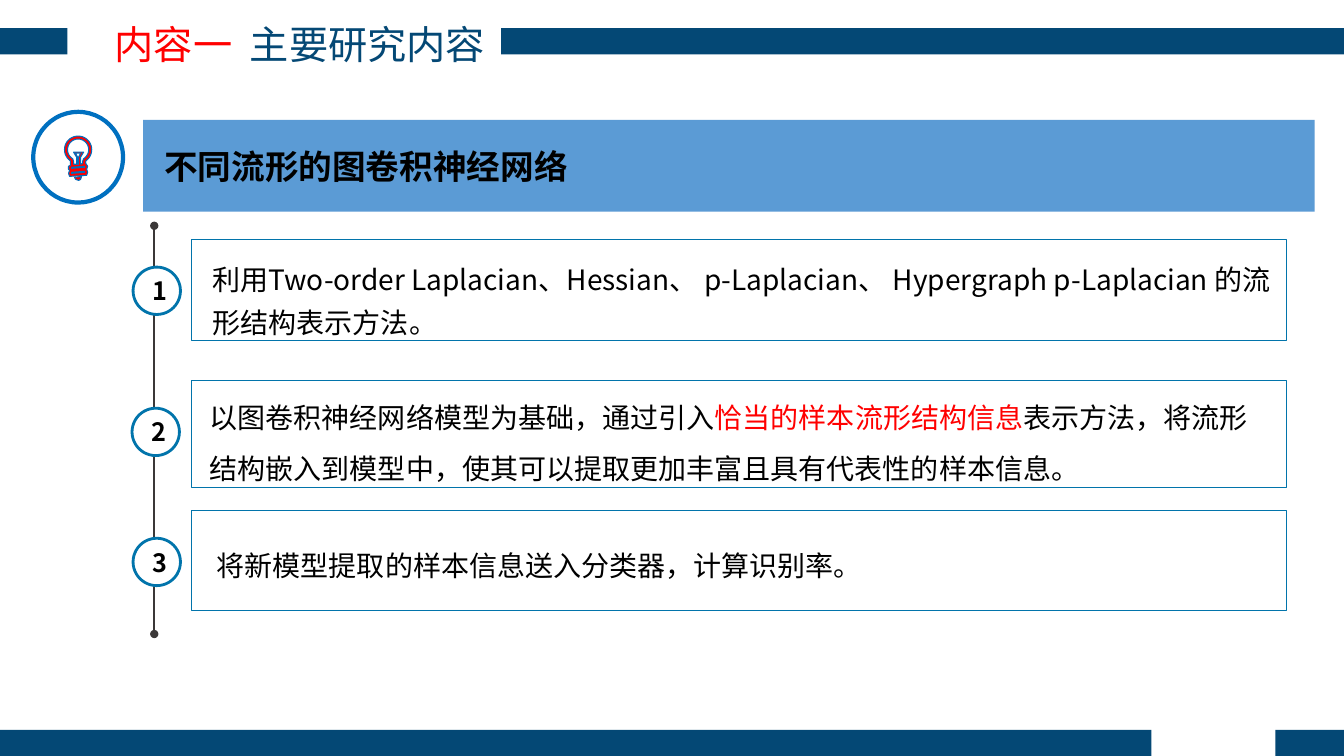
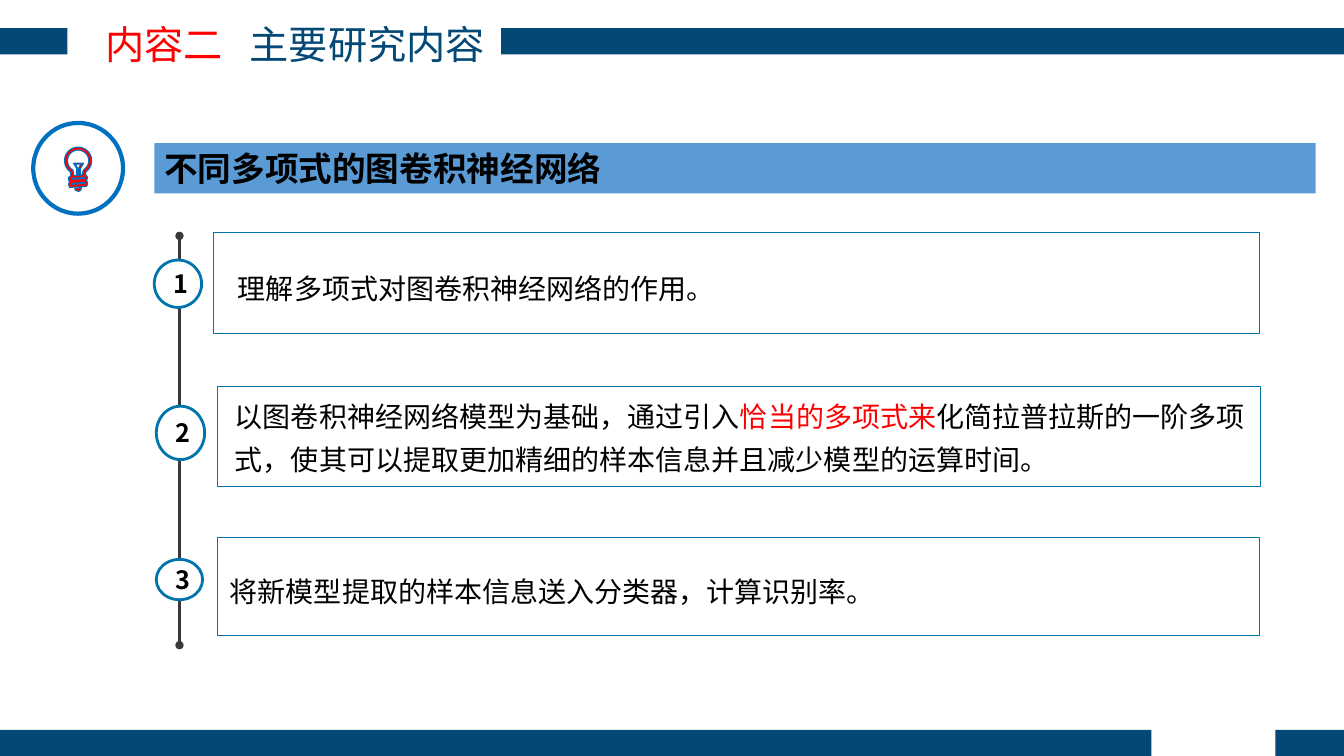
from dataclasses import dataclass
from math import cos, radians, sin

from lxml.etree import SubElement
from pptx import Presentation
from pptx.dml.color import RGBColor
from pptx.enum.shapes import MSO_CONNECTOR, MSO_SHAPE
from pptx.enum.text import MSO_ANCHOR, PP_ALIGN
from pptx.oxml.ns import qn
from pptx.util import Inches, Pt


@dataclass(frozen=True)
class Theme:
    navy: str = "044875"
    bar: str = "5B9BD5"
    outline: str = "0174AB"
    icon: str = "0070C0"
    rail: str = "3B3838"
    red: str = "FF0000"
    black: str = "000000"
    white: str = "FFFFFF"
    font: str = "Noto Sans CJK SC"
    heading_font: str = "Calibri"
    title_size: int = 28
    heading_size: int = 24
    body_size: int = 20
    number_size: int = 18


THEME = Theme()
TITLE = "主要研究内容"
TITLE_LEFT = 2.48
HEADING_LEFT = 1.63
BANDS = [(0, 0.28, 0.67, 0.26), (4.97, 0.28, 8.36, 0.26),
         (12.65, 7.24, 0.68, 0.26), (0, 7.24, 11.42, 0.26)]

# Each step: badge box, frame box, text left and top insets, line spacing, runs.
# A run is its text and whether it is highlighted.
PAGES = [
    {
        "label": "内容一", "label_left": 1.14, "icon_top": 1.11,
        "heading": "不同流形的图卷积神经网络", "bar": (1.42, 1.19, 11.62, 0.91),
        "rail": (1.53, 2.24, 6.29), "right_inset": 0.15,
        "steps": [
            ((1.32, 2.65, 0.47, 0.47), (1.9, 2.38, 10.86, 1), (0.21, 0.12), 1.3,
             [("利用Two-order Laplacian、Hessian、 p-Laplacian、 "
               "Hypergraph p-Laplacian 的流形结构表示方法。", False)]),
            ((1.31, 4.05, 0.47, 0.47), (1.9, 3.77, 10.86, 1.07), (0.18, 0.04), 1.5,
             [("以图卷积神经网络模型为基础，通过引入", False),
              ("恰当的样本流形结构信息", True),
              ("表示方法，将流形结构嵌入到模型中，"
               "使其可以提取更加丰富且具有代表性的样本信息。", False)]),
            ((1.32, 5.34, 0.47, 0.47), (1.9, 5.06, 10.86, 1), (0.25, 0.28), 1.3,
             [("将新模型提取的样本信息送入分类器，计算识别率。", False)]),
        ],
    },
    {
        "label": "内容二", "label_left": 1.05, "icon_top": 1.22,
        "heading": "不同多项式的图卷积神经网络", "bar": (1.53, 1.42, 11.52, 0.5),
        "rail": (1.78, 2.34, 6.4), "right_inset": 0.1,
        "steps": [
            ((1.53, 2.58, 0.47, 0.47), (2.12, 2.31, 10.37, 1), (0.24, 0.28), 1.3,
             [("理解多项式对图卷积神经网络的作用。", False)]),
            ((1.55, 4.03, 0.48, 0.53), (2.16, 3.83, 10.34, 1), (0.17, 0.03), 1.3,
             [("以图卷积神经网络模型为基础，通过引入", False),
              ("恰当的多项式来", True),
              ("化简拉普拉斯的一阶多项式，"
               "使其可以提取更加精细的样本信息并且减少模型的运算时间。", False)]),
            ((1.55, 5.55, 0.46, 0.4), (2.16, 5.33, 10.33, 0.97), (0.12, 0.27), 1.3,
             [("将新模型提取的样本信息送入分类器，计算识别率。", False)]),
        ],
    },
]


def arc(radius, start, end, steps=32):
    """Points on a circle around the middle of the bulb glass."""
    angles = [radians(start + (end - start) * i / steps) for i in range(steps + 1)]
    return [(0.135 + radius * cos(a), 0.135 + radius * sin(a)) for a in angles]


BULB_CONTOURS = [
    arc(0.135, 55, -235) + [
        (0.06, 0.29), (0.04, 0.3), (0.04, 0.33), (0.05, 0.34), (0.04, 0.37),
        (0.05, 0.4), (0.22, 0.39), (0.23, 0.36), (0.22, 0.33), (0.23, 0.3),
        (0.21, 0.27)],
    arc(0.105, 60, -240) + [
        (0.09, 0.25), (0.09, 0.28), (0.12, 0.28), (0.12, 0.21), (0.09, 0.16),
        (0.19, 0.16), (0.16, 0.21), (0.16, 0.28), (0.18, 0.27), (0.18, 0.25)],
    [(0.11, 0.17), (0.13, 0.21), (0.13, 0.28), (0.14, 0.28), (0.14, 0.21), (0.16, 0.17)],
    [(0.07, 0.31), (0.2, 0.3), (0.2, 0.31), (0.07, 0.32)],
    [(0.07, 0.36), (0.2, 0.35), (0.2, 0.36), (0.07, 0.37)],
    [(0.1, 0.41), (0.17, 0.4), (0.16, 0.43), (0.14, 0.44), (0.11, 0.43)],
]


def style(shape, fill=None, line=None, width=1):
    shape.shadow.inherit = False
    if fill:
        shape.fill.solid()
        shape.fill.fore_color.rgb = RGBColor.from_string(fill)
    else:
        shape.fill.background()
    if line:
        shape.line.color.rgb = RGBColor.from_string(line)
        shape.line.width = Pt(width)
    else:
        shape.line.fill.background()


def add_box(page, at, kind=MSO_SHAPE.RECTANGLE, **look):
    box = page.shapes.add_shape(kind, *map(Inches, at))
    style(box, **look)
    return box


def write(box, runs, size, font=THEME.font, bold=False, align=PP_ALIGN.LEFT,
          anchor=MSO_ANCHOR.TOP, insets=(0.1, 0.05, 0.1, 0.05), spacing=None, tab=None):
    """Fill a shape with one paragraph of (text, colour) runs."""
    frame = box.text_frame
    frame.word_wrap = True
    frame.vertical_anchor = anchor
    (frame.margin_left, frame.margin_top,
     frame.margin_right, frame.margin_bottom) = map(Inches, insets)
    para = frame.paragraphs[0]
    para.alignment = align
    if spacing:
        para.line_spacing = spacing
    if tab:
        stops = SubElement(para._p.get_or_add_pPr(), qn("a:tabLst"))
        SubElement(stops, qn("a:tab"), pos=str(Inches(tab)), algn="l")
    for text, colour in runs:
        span = para.add_run()
        span.text = text
        span.font.size = Pt(size)
        span.font.bold = bold
        span.font.name = font
        span.font.color.rgb = RGBColor.from_string(colour)
        SubElement(span._r.get_or_add_rPr(), qn("a:ea"), typeface=THEME.font)


def add_title(page, label, label_left):
    for band in BANDS:
        add_box(page, band, fill=THEME.navy)
    left = label_left - 0.1
    box = page.shapes.add_textbox(*map(Inches, (left, 0.15, 5.21 - left, 0.57)))
    write(box, [(label + "\t", THEME.red), (TITLE, THEME.navy)], THEME.title_size,
          tab=TITLE_LEFT - label_left)


def add_icon(page, top):
    """Draw a light bulb inside a ring."""
    add_box(page, (0.33, top, 0.89, 0.9), MSO_SHAPE.OVAL, line=THEME.icon, width=3)
    contours = [[((0.64 + x) * 1000, (top + 0.24 + y) * 1000) for x, y in contour]
                for contour in BULB_CONTOURS]
    builder = page.shapes.build_freeform(*contours[0][0], scale=Inches(1) / 1000)
    for index, contour in enumerate(contours):
        if index:
            builder.move_to(*contour[0])
        builder.add_line_segments(contour[1:], close=True)
    style(builder.convert_to_shape(), fill=THEME.red, line=THEME.icon, width=0.75)


def add_rail(page, x, top, bottom):
    rail = page.shapes.add_connector(MSO_CONNECTOR.STRAIGHT,
                                     *map(Inches, (x, top, x, bottom)))
    rail.line.color.rgb = RGBColor.from_string(THEME.rail)
    rail.line.width = Pt(1.5)
    line = rail.line._get_or_add_ln()
    for end in ("a:headEnd", "a:tailEnd"):
        SubElement(line, qn(end), type="oval")
    SubElement(rail._element.spPr, qn("a:effectLst"))


def add_step(page, number, step, right_inset):
    badge_at, frame_at, (left, top), spacing, runs = step
    badge = add_box(page, badge_at, MSO_SHAPE.OVAL, fill=THEME.white,
                    line=THEME.outline, width=2)
    write(badge, [(str(number), THEME.black)], THEME.number_size, bold=True,
          align=PP_ALIGN.CENTER, anchor=MSO_ANCHOR.MIDDLE,
          insets=(0.12, 0.05, 0.1, 0.05))
    frame = add_box(page, frame_at, line=THEME.outline, width=0.5)
    coloured = [(text, THEME.red if marked else THEME.black) for text, marked in runs]
    write(frame, coloured, THEME.body_size, spacing=spacing,
          insets=(left, top, right_inset, 0))


def build_page(deck, content):
    page = deck.slides.add_slide(deck.slide_layouts[6])
    add_title(page, content["label"], content["label_left"])
    add_icon(page, content["icon_top"])
    bar = add_box(page, content["bar"], fill=THEME.bar)
    write(bar, [(content["heading"], THEME.black)], THEME.heading_size,
          font=THEME.heading_font, bold=True, anchor=MSO_ANCHOR.MIDDLE,
          insets=(HEADING_LEFT - content["bar"][0], 0.05, 0.1, 0.05))
    add_rail(page, *content["rail"])
    for number, step in enumerate(content["steps"], 1):
        add_step(page, number, step, content["right_inset"])


def main():
    deck = Presentation()
    deck.slide_width, deck.slide_height = Inches(13.33), Inches(7.5)
    for content in PAGES:
        build_page(deck, content)
    deck.save("out.pptx")


if __name__ == "__main__":
    main()
